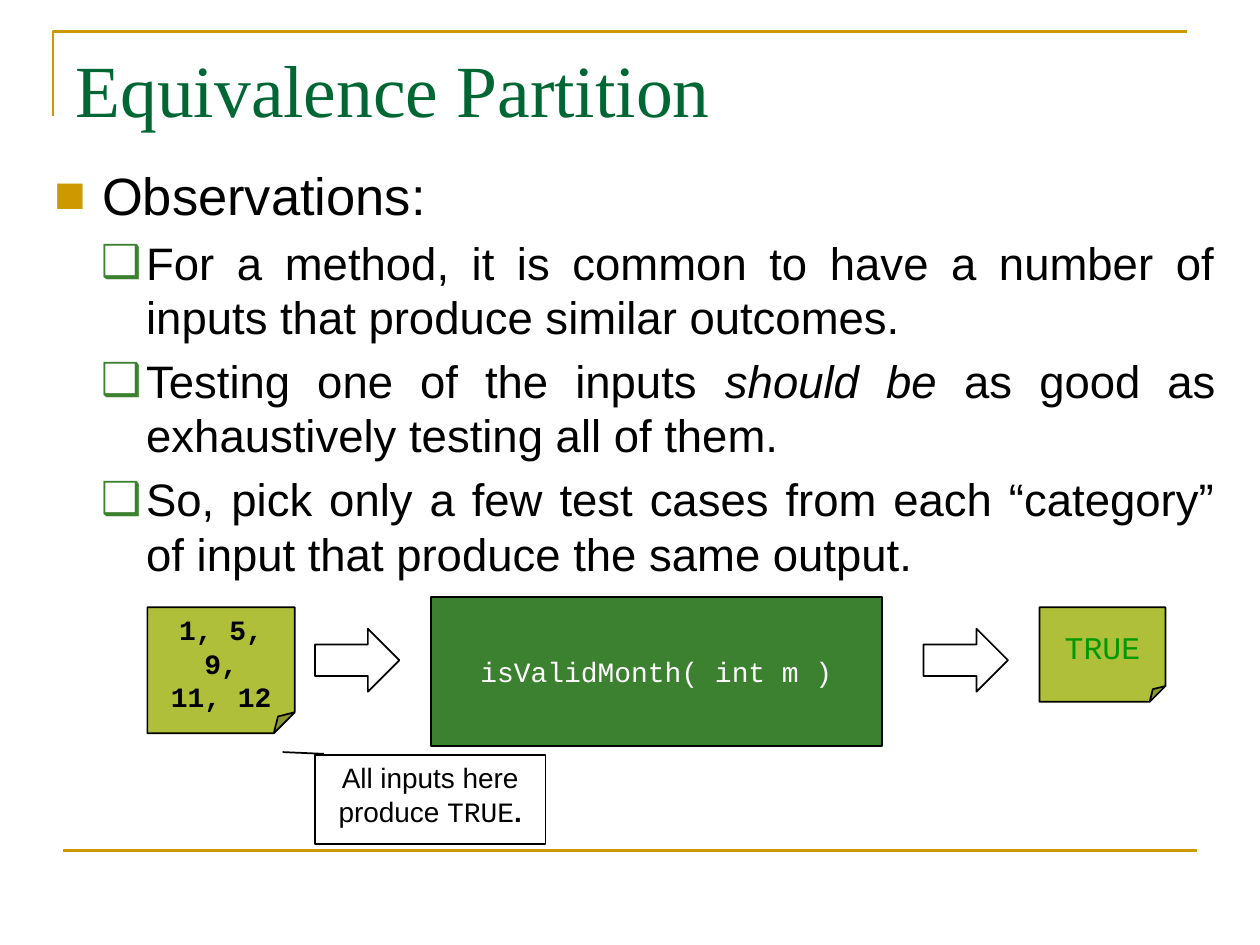
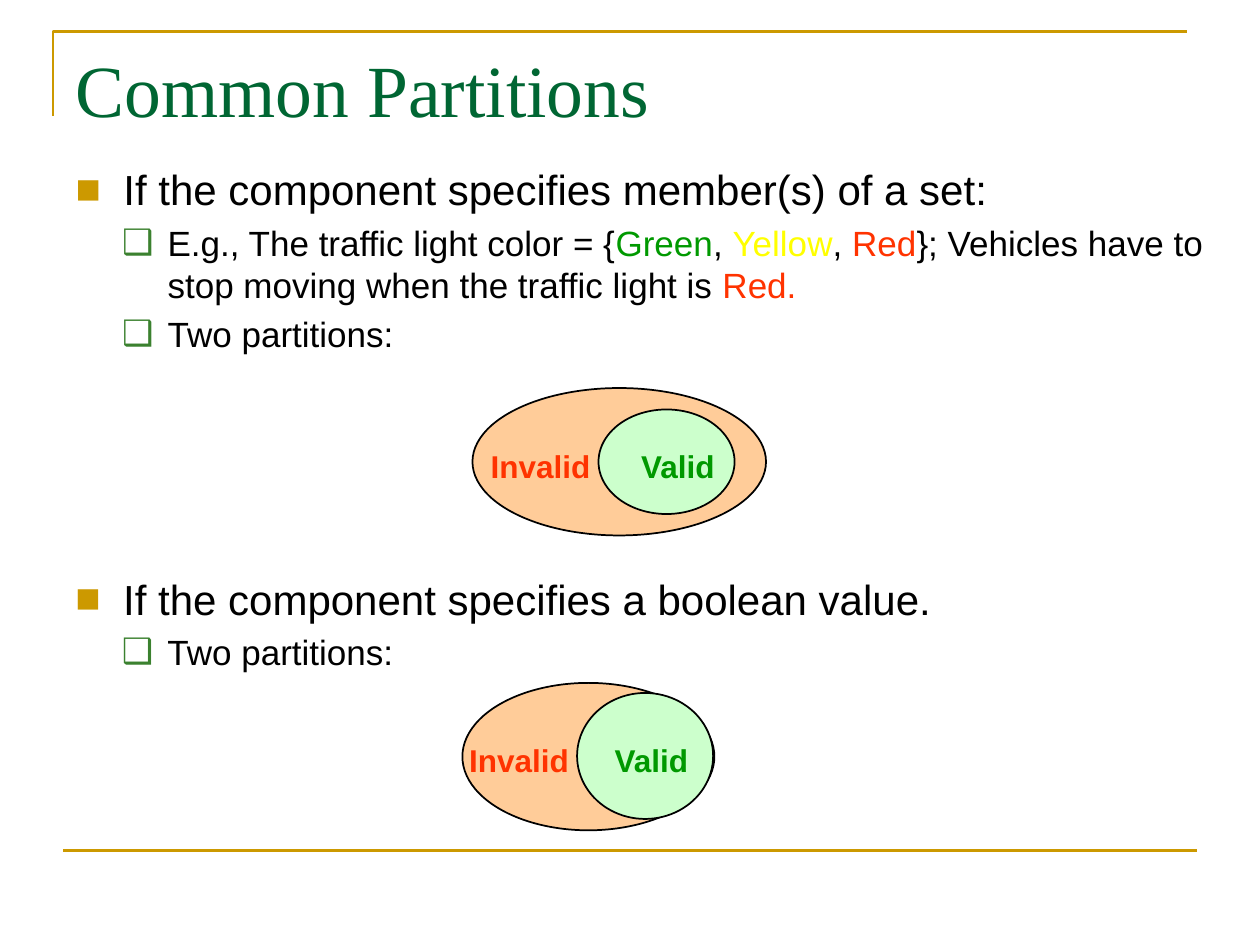
from pptx import Presentation
from pptx.dml.color import RGBColor
from pptx.enum.shapes import MSO_CONNECTOR as CONN, MSO_SHAPE as SHAPE
from pptx.enum.text import MSO_ANCHOR as ANCHOR, MSO_AUTO_SIZE as AUTO, PP_ALIGN as ALIGN
from pptx.oxml.ns import qn
from pptx.util import Inches, Pt
from lxml.etree import SubElement

GOLD = RGBColor(0xCC, 0x99, 0x00)
TITLE_GREEN = RGBColor(0x00, 0x66, 0x33)
LEAF = RGBColor(0x3B, 0x81, 0x2F)
OLIVE = RGBColor(0xAF, 0xBF, 0x39)
GREEN = RGBColor(0x00, 0x99, 0x00)
YELLOW = RGBColor(0xFF, 0xFF, 0x00)
RED = RGBColor(0xFF, 0x33, 0x00)
PEACH = RGBColor(0xFF, 0xCC, 0x99)
MINT = RGBColor(0xCC, 0xFF, 0xCC)
BLACK = RGBColor(0x00, 0x00, 0x00)
WHITE = RGBColor(0xFF, 0xFF, 0xFF)

LEVELS = [(0.38, -0.38, "■", GOLD), (0.73, -0.36, "❑", LEAF)]


def add_run(p, text, size, color=BLACK, font="Arial", bold=False, italic=False):
    r = p.add_run()
    r.text = text
    r.font.name = font
    r.font.size = Pt(size)
    r.font.bold = bold
    r.font.italic = italic
    r.font.color.rgb = color


def fill_list(sp, box, items, sizes, gap, align):
    sp.left, sp.top, sp.width, sp.height = [Inches(v) for v in box]
    tf = sp.text_frame
    tf.word_wrap = True
    tf.auto_size = AUTO.NONE
    tf.vertical_anchor = ANCHOR.TOP
    for i, (level, runs) in enumerate(items):
        p = tf.paragraphs[0] if i == 0 else tf.add_paragraph()
        left, hang, char, color = LEVELS[level]
        p.level = level
        p.alignment = align
        p.space_before = Pt(gap if i else 0)
        pPr = p._p.get_or_add_pPr()
        pPr.set("marL", str(Inches(left)))
        pPr.set("indent", str(Inches(hang)))
        clr = SubElement(pPr, qn("a:buClr"))
        SubElement(clr, qn("a:srgbClr"), val=str(color))
        SubElement(pPr, qn("a:buFont"), typeface="Arial")
        SubElement(pPr, qn("a:buChar"), char=char)
        for text, *style in runs:
            color, italic = style if len(style) == 2 else (BLACK, False)
            add_run(p, text, sizes[level], color, italic=italic)


prs = Presentation()
prs.slide_width = Inches(10)
prs.slide_height = Inches(7.5)
layout = prs.slide_layouts[1]

slides = []
for title in ["Equivalence Partition", "Common Partitions"]:
    s = prs.slides.add_slide(layout)
    sp = s.shapes.title
    sp.left, sp.top, sp.width, sp.height = [Inches(v) for v in (0.5, 0.3, 9, 1.25)]
    tf = sp.text_frame
    tf.auto_size = AUTO.NONE
    tf.vertical_anchor = ANCHOR.TOP
    p = tf.paragraphs[0]
    p.alignment = ALIGN.LEFT
    add_run(p, title, 42, TITLE_GREEN, "Times New Roman")
    slides.append(s)

observations, partitions = slides

pen = observations.shapes.build_freeform(Inches(0.42), Inches(0.92))
pen.add_line_segments([(Inches(0.42), Inches(0.25)), (Inches(9.42), Inches(0.25))], close=False)
corner = pen.convert_to_shape()
corner.shadow.inherit = False
corner.fill.background()
rule = observations.shapes.add_connector(
    CONN.STRAIGHT, Inches(0.5), Inches(6.75), Inches(9.5), Inches(6.75))
SubElement(rule._element.spPr, qn("a:effectLst"))
for i, sp in enumerate([corner, rule]):
    sp.line.color.rgb = GOLD
    sp.line.width = Pt(1.5)
    sp.element.xpath(".//p:cNvPr")[0].set("id", str(20 + i))
    layout.shapes.element.append(sp.element)

fill_list(observations.placeholders[1], (0.33, 1.24, 9.42, 3.5), [
    (0, [("Observations:",)]),
    (1, [("For a method, it is common to have a number of inputs that produce similar outcomes.",)]),
    (1, [("Testing one of the inputs ",), ("should be ", BLACK, True),
         ("as good as exhaustively testing all of them.",)]),
    (1, [("So, pick only a few test cases from each “category” of input "
          "that produce the same output.",)]),
], (30, 26), 5.2, ALIGN.JUSTIFY)

MONO = "Courier New"
flow = [
    (SHAPE.RECTANGLE, (3.42, 4.74, 3.58, 1.18), LEAF,
     [("isValidMonth( int m )", 16, WHITE, MONO)]),
    (SHAPE.FOLDED_CORNER, (1.17, 4.82, 1.17, 1), OLIVE,
     [("1, 5, 9,\v11, 12", 16, BLACK, MONO, True)]),
    (SHAPE.RIGHT_ARROW, (2.5, 4.99, 0.67, 0.5), None, []),
    (SHAPE.RIGHT_ARROW, (7.33, 4.99, 0.67, 0.5), None, []),
    (SHAPE.FOLDED_CORNER, (8.25, 4.82, 1, 0.75), OLIVE, [("TRUE", 18, GREEN, MONO)]),
    (SHAPE.LINE_CALLOUT_1, (2.5, 5.99, 1.83, 0.71), None,
     [("All inputs here produce ", 16), ("TRUE", 16, BLACK, MONO),
      (".", 16, BLACK, "Arial", True)]),
]
for kind, box, fill, runs in flow:
    sp = observations.shapes.add_shape(kind, *[Inches(v) for v in box])
    sp.shadow.inherit = False
    sp.line.color.rgb = BLACK
    sp.line.width = Pt(1)
    if fill is None:
        sp.fill.background()
    else:
        sp.fill.solid()
        sp.fill.fore_color.rgb = fill
    tf = sp.text_frame
    tf.word_wrap = True
    tf.vertical_anchor = ANCHOR.MIDDLE
    p = tf.paragraphs[0]
    p.alignment = ALIGN.CENTER
    for text, *style in runs:
        for i, part in enumerate(text.split("\v")):
            if i:
                p.add_line_break()
            add_run(p, part, *style)
    if kind == SHAPE.FOLDED_CORNER and box[3] == 1:
        tf.margin_top = Inches(0.1)
    if kind == SHAPE.LINE_CALLOUT_1:
        tf.vertical_anchor = ANCHOR.TOP
        for i, value in enumerate((-0.01, 0.04, -0.03, -0.14)):
            sp.adjustments[i] = value

fill_list(partitions.placeholders[1], (0.5, 1.25, 9.25, 1.92), [
    (0, [("If the component specifies member(s) of a set:",)]),
    (1, [("E.g., The traffic light color = {",), ("Green", GREEN, False), (", ",),
         ("Yellow", YELLOW, False), (", ",), ("Red", RED, False),
         ("}; Vehicles have to stop moving when the traffic light is ",),
         ("Red.", RED, False)]),
    (1, [("Two partitions:",)]),
], (24, 20), 4, ALIGN.LEFT)

boolean_box = partitions.shapes.add_textbox(0, 0, 0, 0)
fill_list(boolean_box, (0.5, 4.5, 9, 1.42), [
    (0, [("If the component specifies a boolean value.",)]),
    (1, [("Two partitions:",)]),
], (24, 20), 4, ALIGN.LEFT)

venns = [
    ((3.75, 3.08, 2.33, 1.17), (4.75, 3.25, 1.08, 0.83),
     (4.67, 3.5, 1.42, 0.4), (3.58, 3.5, 1.42, 0.4)),
    ((3.67, 5.42, 2, 1.17), (4.58, 5.5, 1.08, 1),
     (4.67, 5.83, 1, 0.4), (3.58, 5.83, 1.08, 0.4)),
]
for outer, inner, valid, invalid in venns:
    group = partitions.shapes.add_group_shape()
    for box, fill in [(outer, PEACH), (inner, MINT)]:
        sp = group.shapes.add_shape(SHAPE.OVAL, *[Inches(v) for v in box])
        sp.shadow.inherit = False
        sp.fill.solid()
        sp.fill.fore_color.rgb = fill
        sp.line.color.rgb = BLACK
        sp.line.width = Pt(1)
    for box, text, color in [(valid, "Valid", GREEN), (invalid, "Invalid", RED)]:
        sp = group.shapes.add_textbox(*[Inches(v) for v in box])
        tf = sp.text_frame
        tf.word_wrap = True
        p = tf.paragraphs[0]
        p.alignment = ALIGN.CENTER
        add_run(p, text, 18, color, bold=True)

prs.save("out.pptx")
